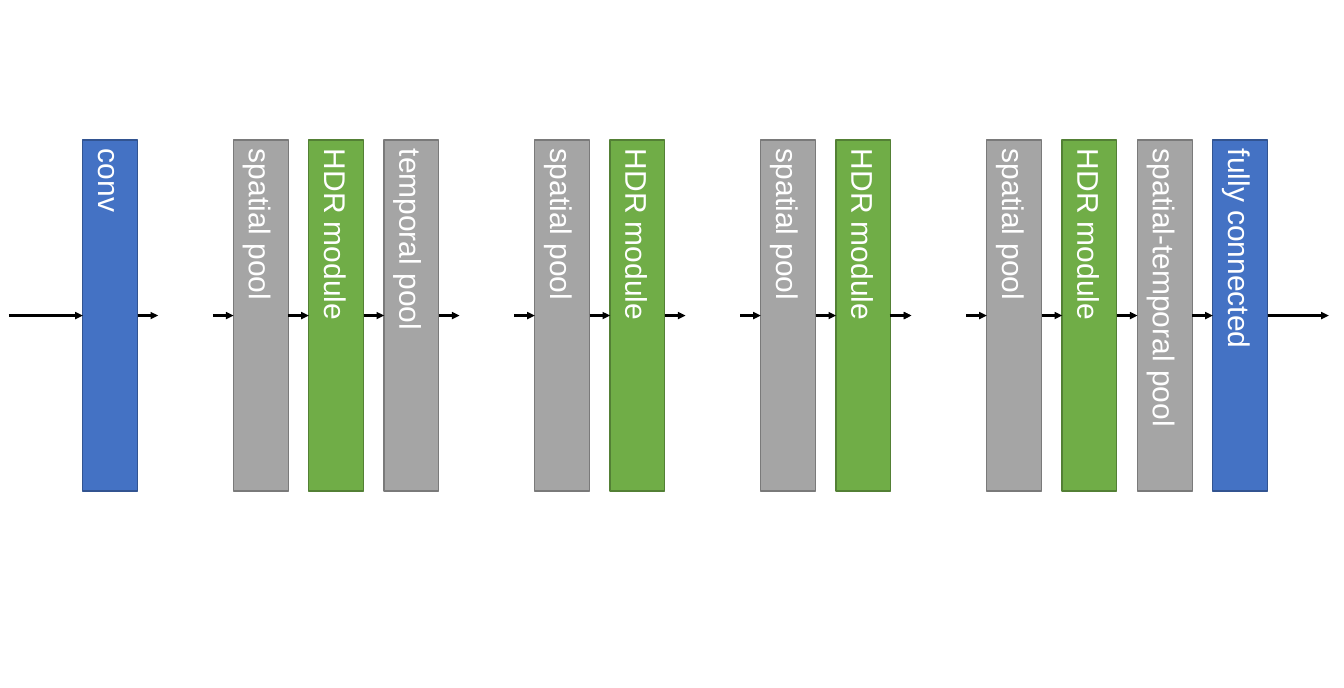
import pptx
import pptx.dml.color
import pptx.enum.shapes
import pptx.enum.text
import pptx.oxml
import pptx.oxml.ns
import pptx.util

Cm = pptx.util.Cm
Pt = pptx.util.Pt
RGBColor = pptx.dml.color.RGBColor

BLUE = RGBColor(0x44, 0x72, 0xC4)
NAVY = RGBColor(0x32, 0x54, 0x91)
GRAY = RGBColor(0xA5, 0xA5, 0xA5)
SLATE = RGBColor(0x7A, 0x7A, 0x7A)
GREEN = RGBColor(0x70, 0xAD, 0x47)
MOSS = RGBColor(0x53, 0x80, 0x35)
BLACK = RGBColor(0, 0, 0)
WHITE = RGBColor(0xFF, 0xFF, 0xFF)

WIDE = 1.55
STEP = 2.13
GAP = STEP - WIDE
LEFT = 2.34
TOP = 3.96
TALL = 9.93

CONV = ("conv", BLUE, NAVY)
SPACE = ("spatial pool", GRAY, SLATE)
HDR = ("HDR module", GREEN, MOSS)
TIME = ("temporal pool", GRAY, SLATE)
BOTH = ("spatial-temporal pool", GRAY, SLATE)
FULL = ("fully connected", BLUE, NAVY)

STAGES = [
    (0, [CONV], 2.09, GAP),
    (2, [SPACE, HDR, TIME], GAP, GAP),
    (6, [SPACE, HDR], GAP, GAP),
    (9, [SPACE, HDR], GAP, GAP),
    (12, [SPACE, HDR, BOTH, FULL], GAP, 1.73),
]


def write(shape, text, size=24, color=WHITE, font="Arial"):
    frame = shape.text_frame
    frame.vertical_anchor = pptx.enum.text.MSO_ANCHOR.MIDDLE
    frame._txBody.bodyPr.set("vert", "eaVert")
    line = frame.paragraphs[0]
    line.alignment = pptx.enum.text.PP_ALIGN.LEFT
    run = line.add_run()
    run.text = text
    run.font.size = Pt(size)
    run.font.name = font
    run.font.color.rgb = color


def block(slide, left, top, tall, text, fill, edge):
    shape = slide.shapes.add_shape(
        pptx.enum.shapes.MSO_SHAPE.RECTANGLE, Cm(left), Cm(top), Cm(WIDE), Cm(tall))
    shape.shadow.inherit = False
    shape.fill.solid()
    shape.fill.fore_color.rgb = fill
    shape.line.color.rgb = edge
    shape.line.width = Pt(1)
    write(shape, text)
    return shape


def arrow(slide, start, end, y, tail=None, head=None):
    line = slide.shapes.add_connector(
        pptx.enum.shapes.MSO_CONNECTOR.STRAIGHT, Cm(start), Cm(y), Cm(end), Cm(y))
    line.line.color.rgb = BLACK
    line.line.width = Pt(2)
    stroke = line.line._get_or_add_ln()
    tip = pptx.oxml.parse_xml(
        f'<a:tailEnd {pptx.oxml.ns.nsdecls("a")} type="triangle"/>')
    stroke.append(tip)
    flat = pptx.oxml.parse_xml(f'<a:effectLst {pptx.oxml.ns.nsdecls("a")}/>')
    line._element.spPr.append(flat)
    if tail is not None:
        line.begin_connect(tail, 3)
    if head is not None:
        line.end_connect(head, 1)


def stage(slide, left, top, tall, parts, lead, trail):
    y = top + tall / 2
    start, last = left - lead, None
    for i, part in enumerate(parts):
        x = left + i * STEP
        shape = block(slide, x, top, tall, *part)
        arrow(slide, start, x, y, last, shape)
        start, last = x + WIDE, shape
    arrow(slide, start, start + trail, y, last)


def main():
    deck = pptx.Presentation()
    deck.slide_width = Cm(38)
    deck.slide_height = Cm(19.46)
    slide = deck.slides.add_slide(deck.slide_layouts[6])
    for slot, parts, lead, trail in STAGES:
        stage(slide, LEFT + slot * STEP, TOP, TALL, parts, lead, trail)
    arrow(slide, 25.15, 25.76, TOP + TALL / 2)
    deck.save("out.pptx")


if __name__ == "__main__":
    main()
